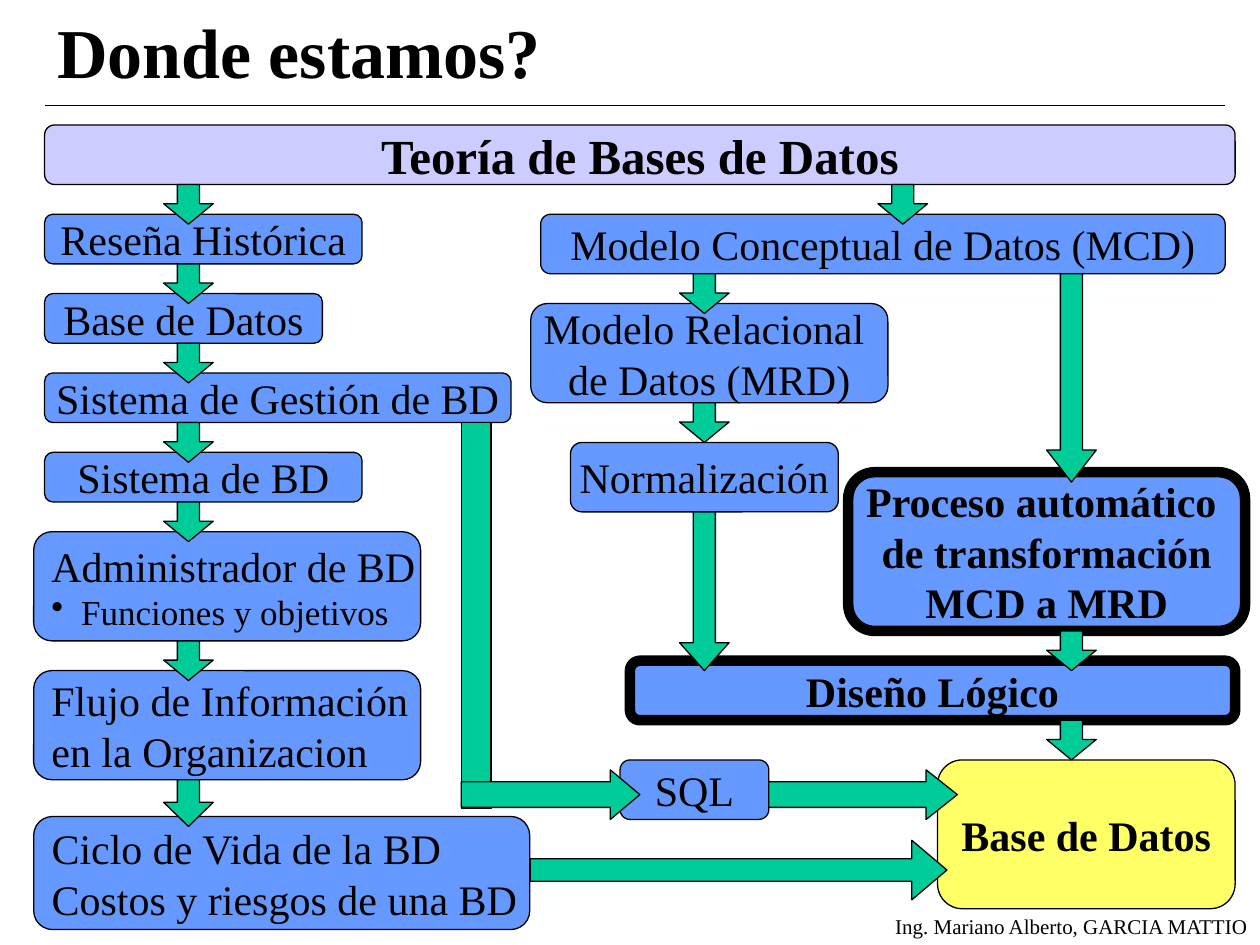
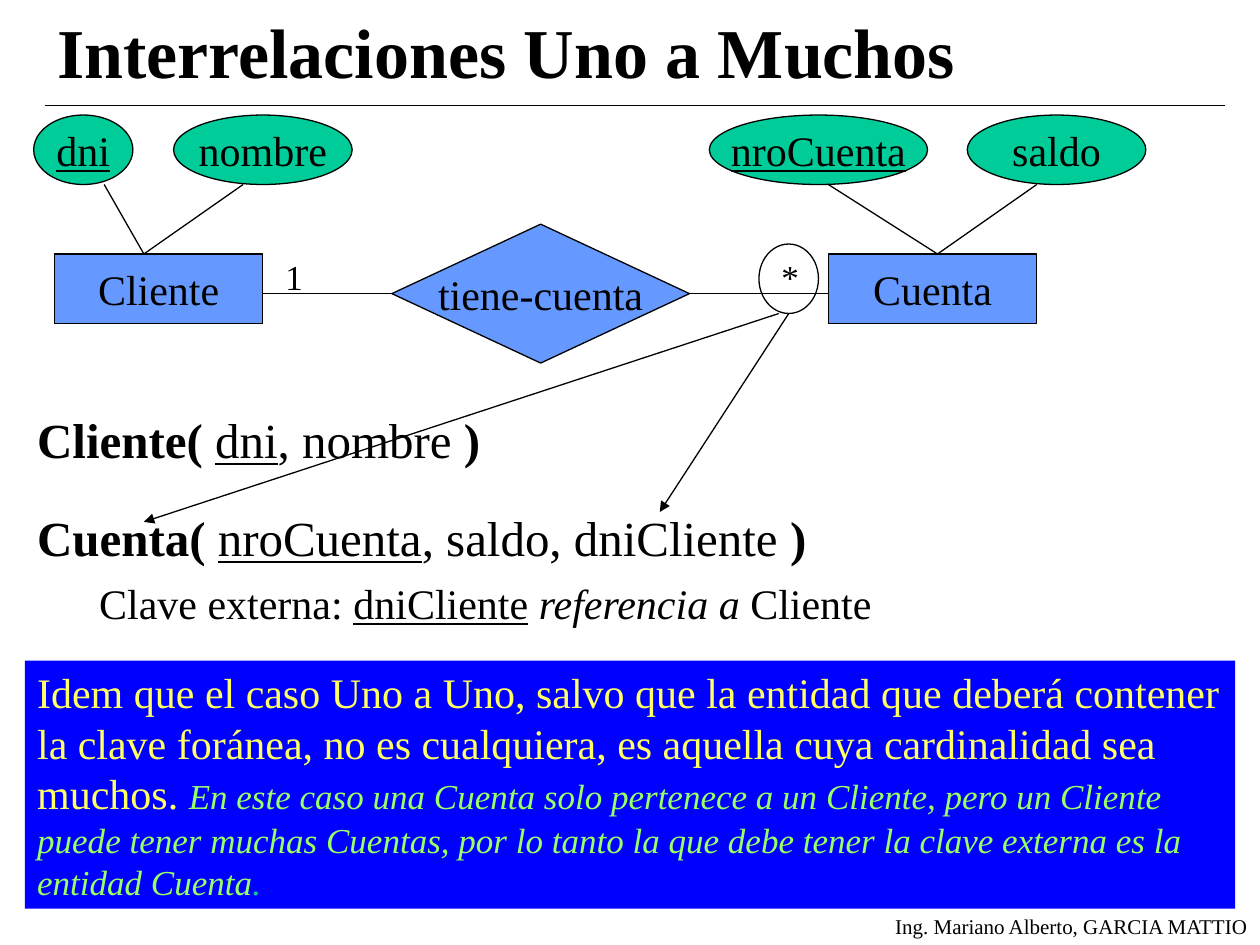
from lxml.etree import SubElement
from pptx import Presentation
from pptx.dml.color import RGBColor
from pptx.enum.shapes import MSO_CONNECTOR, MSO_SHAPE
from pptx.enum.text import MSO_ANCHOR, MSO_AUTO_SIZE, PP_ALIGN
from pptx.oxml.ns import qn
from pptx.util import Cm, Pt

BLACK = RGBColor(0x00, 0x00, 0x00)
BLUE = RGBColor(0x66, 0x99, 0xFF)
LILAC = RGBColor(0xCC, 0xCC, 0xFF)
GREEN = RGBColor(0x00, 0xCC, 0x99)
YELLOW = RGBColor(0xFF, 0xFF, 0x66)
LIME = RGBColor(0x99, 0xFF, 0x66)
DEEP_BLUE = RGBColor(0x00, 0x00, 0xFF)

FONT = "Times New Roman"
THIN, THICK = 0.75, 6
TITLE_ONLY = 5
ARROW_WIDTH = 1
ARROW_OVERLAP = 0.2


def set_font(font, size=24, color=BLACK, bold=False, italic=False, underline=False):
    font.name = FONT
    font.size = Pt(size)
    font.color.rgb = color
    font.bold = bold
    font.italic = italic
    font.underline = underline


def write_lines(frame, lines, align=PP_ALIGN.CENTER, **style):
    """Write each line as a paragraph in one style and return the paragraphs."""
    for number, line in enumerate(lines):
        paragraph = frame.add_paragraph() if number else frame.paragraphs[0]
        paragraph.text = line
        paragraph.alignment = align
        set_font(paragraph.font, **style)
    return frame.paragraphs


def write_runs(paragraph, runs):
    """Write (text, style) pairs into one left-aligned paragraph."""
    paragraph.alignment = PP_ALIGN.LEFT
    for text, style in runs:
        run = paragraph.add_run()
        run.text = text
        set_font(run.font, **style)


def indent_paragraph(paragraph, margin, first_line=0):
    properties = paragraph._p.get_or_add_pPr()
    properties.set("marL", str(Cm(margin)))
    properties.set("indent", str(Cm(first_line)))
    return properties


def add_bullet(paragraph):
    properties = indent_paragraph(paragraph, 0.6, -0.6)
    bullet = properties.makeelement(qn("a:buChar"), {"char": "•"})
    properties.insert_element_before(bullet, "a:tabLst", "a:defRPr", "a:extLst")


def add_block(slide, kind, box, fill=BLUE, line_width=THIN):
    """Add a preset shape; a fill or line width of None leaves that part out."""
    shape = slide.shapes.add_shape(kind, *map(Cm, box))
    shape.shadow.inherit = False
    if fill is None:
        shape.fill.background()
    else:
        shape.fill.solid()
        shape.fill.fore_color.rgb = fill
    if line_width is None:
        shape.line.fill.background()
    else:
        shape.line.color.rgb = BLACK
        shape.line.width = Pt(line_width)
    return shape


def add_label(slide, kind, box, lines, fill=BLUE, line_width=THIN, **text_style):
    shape = add_block(slide, kind, box, fill, line_width)
    shape.text_frame.word_wrap = False
    shape.text_frame.vertical_anchor = MSO_ANCHOR.MIDDLE
    return write_lines(shape.text_frame, lines, **text_style)


def add_topic(slide, box, *lines, **style):
    return add_label(slide, MSO_SHAPE.ROUNDED_RECTANGLE, box, lines, **style)


def add_arrow(slide, kind, box, shaft, head):
    arrow = add_block(slide, kind, box, GREEN)
    arrow.adjustments[0] = shaft
    arrow.adjustments[1] = head


def add_down_arrow(slide, left, top, height, head=0.515):
    add_arrow(slide, MSO_SHAPE.DOWN_ARROW, (left, top, ARROW_WIDTH, height), 0.445, head)


def add_line(slide, start, end, arrowhead=False):
    connector = slide.shapes.add_connector(
        MSO_CONNECTOR.STRAIGHT, *map(Cm, (*start, *end)))
    connector.line.color.rgb = BLACK
    connector.line.width = Pt(THIN)
    properties = connector._element.spPr
    if arrowhead:
        SubElement(properties.find(qn("a:ln")), qn("a:tailEnd"), type="triangle")
    SubElement(properties, qn("a:effectLst"))


def add_text_box(slide, box, wrap):
    frame = slide.shapes.add_textbox(*map(Cm, box)).text_frame
    frame.word_wrap = wrap
    return frame


def add_titled_slide(presentation, title):
    """Add a slide with the shared title, rule and footer."""
    slide = presentation.slides.add_slide(presentation.slide_layouts[TITLE_ONLY])
    shape = slide.shapes.title
    shape.left, shape.top, shape.width, shape.height = map(Cm, (0.9, 0.32, 23.8, 1.4))
    frame = shape.text_frame
    frame.auto_size = MSO_AUTO_SIZE.NONE
    frame.vertical_anchor = MSO_ANCHOR.MIDDLE
    write_lines(frame, [title], PP_ALIGN.LEFT, size=40, bold=True)
    add_line(slide, (0.9, 2.13), (24.7, 2.13))
    footer = add_text_box(slide, (17.7, 18.29, 7.7, 0.76), wrap=False)
    write_lines(footer, ["Ing. Mariano Alberto, GARCIA MATTIO"], PP_ALIGN.RIGHT, size=12)
    return slide


def add_theory_column(slide, left, top):
    """Stack the theory topics, each entered by an arrow from the one above."""
    inset = 0.22
    topics = [
        # lines, indent, width, height, gap above
        (["Reseña Histórica"], inset, 6.4, 1, 0.6),
        (["Base de Datos"], inset, 5.6, 1, 0.6),
        (["Sistema de Gestión de BD"], inset, 9.4, 1, 0.6),
        (["Sistema de BD"], inset, 6.4, 1, 0.6),
        (["Administrador de BD", "Funciones y objetivos"], 0, 7.8, 2.2, 0.6),
        (["Flujo de Información", "en la Organizacion"], 0, 7.8, 2.2, 0.6),
        (["Ciclo de Vida de la BD", "Costos y riesgos de una BD"], 0, 10, 2.28, 0.74),
    ]
    for lines, indent, width, height, gap in topics:
        top += gap
        align = PP_ALIGN.CENTER if len(lines) == 1 else PP_ALIGN.LEFT
        paragraphs = add_topic(slide, (left + indent, top, width, height), *lines, align=align)
        if lines[-1] == "Funciones y objetivos":
            paragraphs[-1].font.size = Pt(20)
            add_bullet(paragraphs[-1])
        add_down_arrow(slide, left + 2.62, top - gap, gap + ARROW_OVERLAP)
        top += height


def add_design_branch(slide, left, top):
    """Place the models that lead from the conceptual model to the database."""
    def place(x, y, width, height):
        return left + x, top + y, width, height

    add_topic(slide, place(6.4, 5.2, 8, 3.2), "Proceso automático ", "de transformación",
              "MCD a MRD", line_width=THICK, bold=True)
    add_topic(slide, place(0.2, 0, 13.8, 1.2), "Modelo Conceptual de Datos (MCD)")
    add_topic(slide, place(0, 1.8, 7.2, 2), "Modelo Relacional ", "de Datos (MRD)")
    add_topic(slide, place(0.8, 4.6, 5.4, 1.4), "Normalización")
    add_topic(slide, place(2, 9, 12.2, 1.2), "Diseño Lógico", line_width=THICK, bold=True)
    add_topic(slide, place(8.2, 11, 6, 3), "Base de Datos", fill=YELLOW, bold=True)

    relational, automatic = 3, 10.4
    for x, y, height, head in [
        (7, -0.6, 0.8, 0.515),
        (relational, 1.2, 0.8, 0.515),
        (relational, 3.8, 0.8, 0.515),
        (relational, 6, 3.2, 0.564),
        (automatic, 1.2, 4.2, 0.647),
        (automatic, 8.4, 0.8, 0.515),
        (automatic, 10.2, 0.8, 0.515),
    ]:
        add_down_arrow(slide, left + x, top + y, height, head)


def add_sql_path(slide, left, top):
    """Lead from the management system through SQL to the database."""
    add_topic(slide, (left + 3.2, top + 6.8, 3, 1.2), "SQL")
    add_block(slide, MSO_SHAPE.RECTANGLE, (left, top, 0.6, 7.78), GREEN)
    for x, y, width, height, shaft, head in [
        (1.39, 8.42, 8.4, 1.2, 0.377, 0.59),
        (6.2, 7, 3.8, 1, 0.515, 0.63),
        (0, 7, 3.6, 1, 0.515, 0.596),
    ]:
        add_arrow(slide, MSO_SHAPE.RIGHT_ARROW, (left + x, top + y, width, height), shaft, head)


def build_overview(presentation):
    slide = add_titled_slide(presentation, "Donde estamos?")
    add_topic(slide, (0.9, 2.52, 24, 1.2), "Teoría de Bases de Datos",
              fill=LILAC, size=28, bold=True)
    add_theory_column(slide, 0.68, 3.72)
    add_design_branch(slide, 10.7, 4.32)
    add_sql_path(slide, 9.3, 8.52)


def add_entity(slide, left, top, name, attributes):
    """Draw an entity and its attributes: (name, x, width, line x, is key)."""
    add_label(slide, MSO_SHAPE.RECTANGLE, (left, top, 4.2, 1.4), [name])
    joint = (left + (1.8 if name == "Cliente" else 2.2), top)
    for attribute, x, width, line_x, is_key in attributes:
        add_label(slide, MSO_SHAPE.OVAL, (left + x, top - 2.8, width, 1.4), [attribute],
                  fill=GREEN, underline=is_key)
        add_line(slide, joint, (left + line_x, top - 1.4))


def add_diagram(slide, left, top):
    """Draw both entities and the relationship between them."""
    middle = top + 0.8
    add_line(slide, (left + 4.2, middle), (left + 15.6, middle))
    add_entity(slide, left, top, "Cliente",
               [("dni", -0.42, 2, 1, True), ("nombre", 2.4, 3.6, 3.8, False)])
    add_entity(slide, left + 15.6, top, "Cuenta",
               [("nroCuenta", -2.4, 4.4, 0, True), ("saldo", 2.8, 3.6, 4.2, False)])
    add_label(slide, MSO_SHAPE.FLOWCHART_DECISION, (left + 6.8, top - 0.6, 6, 2.8),
              ["tiene-cuenta"])
    for cardinality, x in [("1", 4.4), ("*", 14.4)]:
        frame = add_text_box(slide, (left + x, top - 0.1, 0.86, 1.12), wrap=False)
        write_lines(frame, [cardinality], size=20)
    add_block(slide, MSO_SHAPE.OVAL, (left + 14.2, top - 0.2, 1.2, 1.4), fill=None)


def add_schema(slide, box):
    frame = add_text_box(slide, box, wrap=True)
    name = {"size": 28, "bold": True}
    plain, key = {"size": 28}, {"size": 28, "underline": True}
    paragraphs = [
        (7, [("Cliente( ", name), ("dni", key), (", nombre ", plain), (")", name)]),
        (22.5, [("Cuenta( ", name), ("nroCuenta", key),
                (", saldo, dniCliente ", plain), (")", name)]),
        (6, [("Clave externa: ", {}), ("dniCliente", {"underline": True}), (" ", {}),
             ("referencia a", {"italic": True}), (" Cliente", {})]),
    ]
    for number, (space_before, runs) in enumerate(paragraphs):
        paragraph = frame.add_paragraph() if number else frame.paragraphs[0]
        paragraph.space_before = Pt(space_before)
        write_runs(paragraph, runs)
    indent_paragraph(frame.paragraphs[-1], 1.25)


def add_conclusion(slide, box):
    frame = add_block(slide, MSO_SHAPE.RECTANGLE, box, DEEP_BLUE, None).text_frame
    frame.word_wrap = True
    frame.vertical_anchor = MSO_ANCHOR.TOP
    write_runs(frame.paragraphs[0], [
        ("Idem que el caso Uno a Uno, salvo que la entidad que deberá contener la clave "
         "foránea, no es cualquiera, es aquella cuya cardinalidad sea muchos. ",
         {"color": YELLOW}),
        ("En este caso una Cuenta solo pertenece a un Cliente, pero un Cliente puede tener "
         "muchas Cuentas, por lo tanto la que debe tener la clave externa es la entidad Cuenta",
         {"size": 20, "color": LIME, "italic": True}),
        (".", {"size": 20, "color": GREEN, "italic": True}),
    ])


def build_one_to_many(presentation):
    slide = add_titled_slide(presentation, "Interrelaciones Uno a Muchos")
    add_schema(slide, (0.5, 8.13, 23.8, 4.6))
    add_diagram(slide, 1.1, 5.12)
    add_conclusion(slide, (0.5, 13.32, 24.4, 5))
    add_line(slide, (15.7, 6.32), (2.9, 10.52), arrowhead=True)
    add_line(slide, (15.9, 6.32), (13.3, 10.32), arrowhead=True)


def main():
    presentation = Presentation()
    presentation.slide_width, presentation.slide_height = Cm(25.4), Cm(19.05)
    build_overview(presentation)
    build_one_to_many(presentation)
    presentation.save("out.pptx")


if __name__ == "__main__":
    main()
